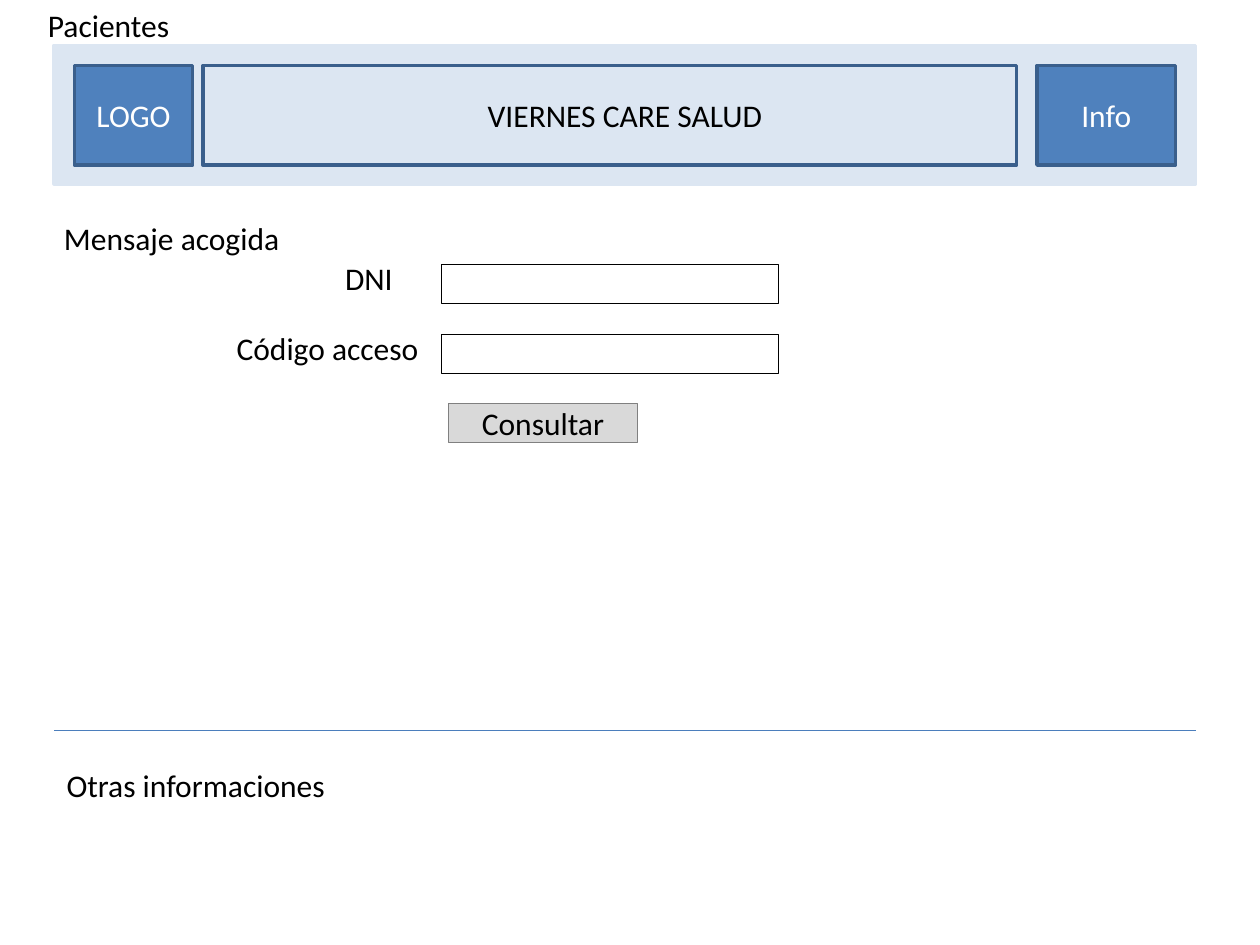
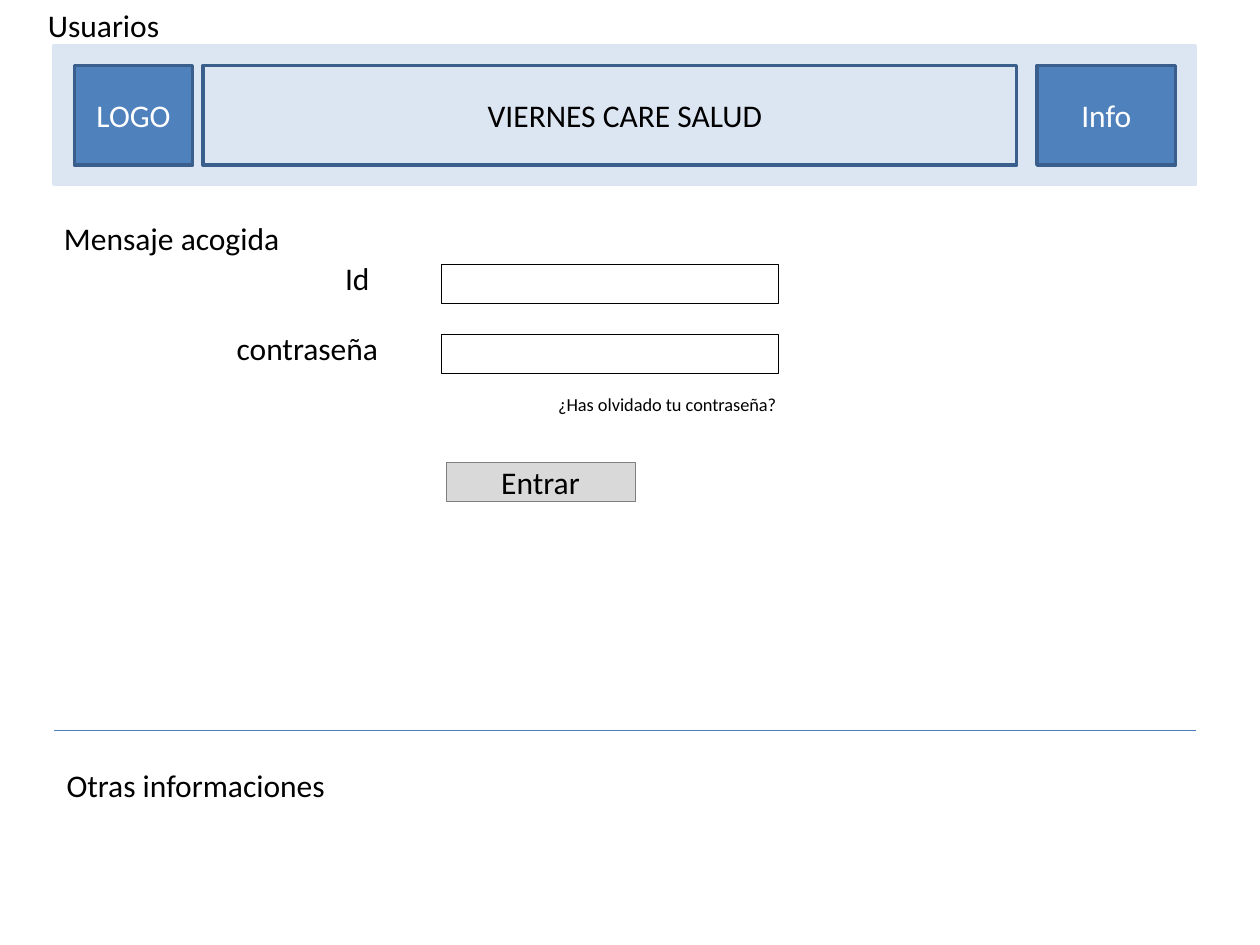
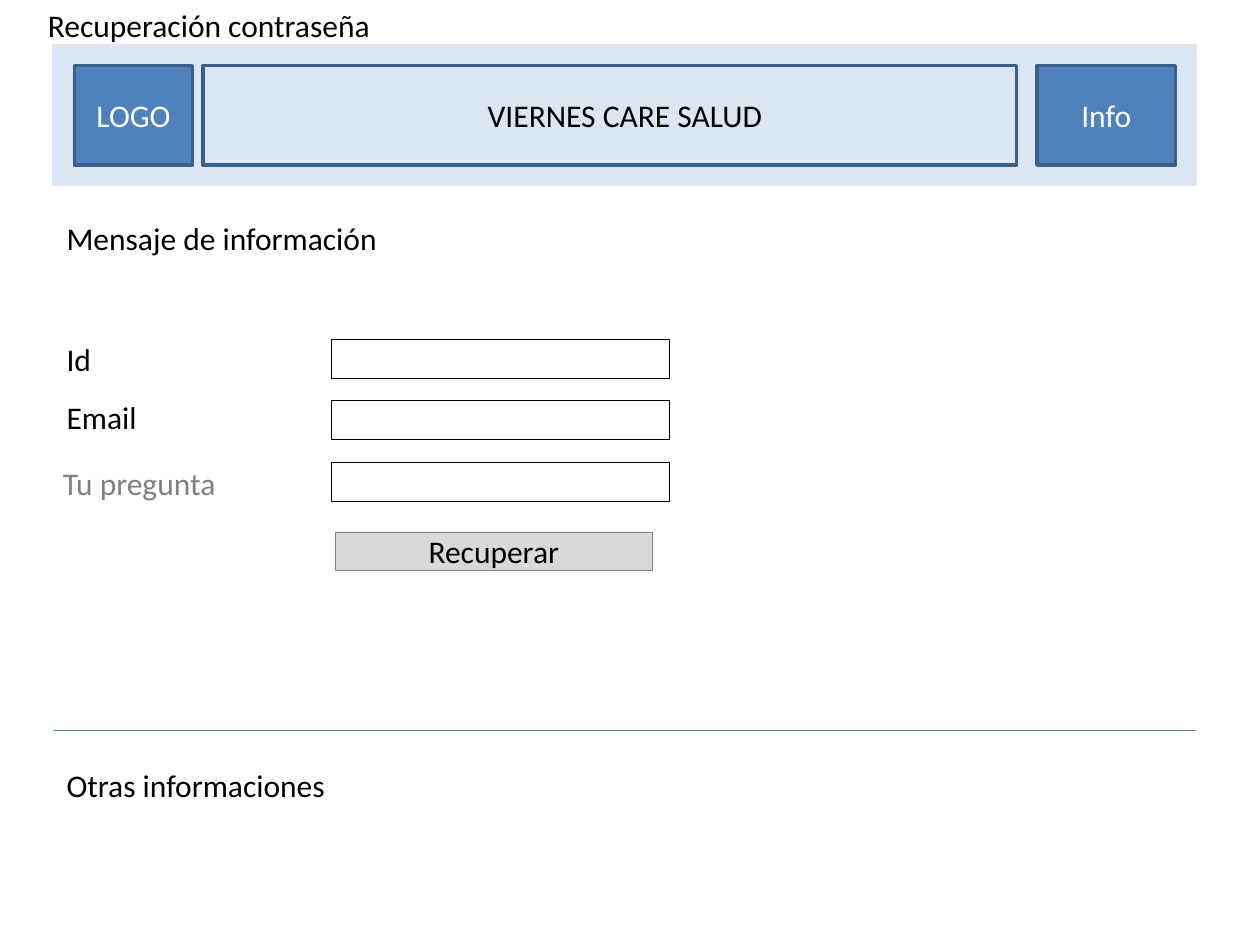
from dataclasses import dataclass

from lxml.etree import SubElement
from pptx import Presentation
from pptx.dml.color import RGBColor
from pptx.enum.shapes import MSO_CONNECTOR, MSO_SHAPE
from pptx.enum.text import MSO_ANCHOR, MSO_AUTO_SIZE, PP_ALIGN
from pptx.oxml.ns import qn
from pptx.util import Inches, Pt


@dataclass(frozen=True)
class Theme:
    font: str = "Calibri"
    body_size: float = 18
    small_size: float = 10.5
    text: str = "000000"
    muted: str = "808080"
    white: str = "FFFFFF"
    band: str = "DCE6F2"
    accent: str = "4F81BD"
    accent_border: str = "3A5F8C"
    rule: str = "4B7EBC"
    button: str = "D9D9D9"
    thick: float = 2
    medium: float = 0.75
    thin: float = 0.25


class FormDeck:
    left = 0.43
    width = 9.06
    text_height = 0.4
    field_width = 2.68
    field_height = 0.31

    def __init__(self, theme):
        self.theme = theme
        self.presentation = Presentation()
        self.presentation.slide_width = Inches(10)
        self.presentation.slide_height = Inches(7.5)
        self.slide = None

    def format_text(self, text_frame, text, color, size=None, align=PP_ALIGN.LEFT):
        text_frame.text = text
        paragraph = text_frame.paragraphs[0]
        paragraph.alignment = align
        font = paragraph.runs[0].font
        font.name = self.theme.font
        font.size = Pt(size or self.theme.body_size)
        font.color.rgb = RGBColor.from_string(color)

    def title(self, text, width):
        shape = self.slide.shapes.title
        shape.left, shape.top = Inches(0.28), Inches(0)
        shape.width, shape.height = Inches(width), Inches(self.text_height)
        text_frame = shape.text_frame
        text_frame.vertical_anchor = MSO_ANCHOR.TOP
        text_frame.auto_size = MSO_AUTO_SIZE.SHAPE_TO_FIT_TEXT
        self.format_text(text_frame, text, self.theme.text)

    def box(self, left, top, width, height, border, weight,
            fill=None, text=None, color=None):
        shape = self.slide.shapes.add_shape(
            MSO_SHAPE.RECTANGLE,
            Inches(left), Inches(top), Inches(width), Inches(height))
        shape.shadow.inherit = False
        if fill:
            shape.fill.solid()
            shape.fill.fore_color.rgb = RGBColor.from_string(fill)
        else:
            shape.fill.background()
        shape.line.color.rgb = RGBColor.from_string(border)
        shape.line.width = Pt(weight)
        if text:
            shape.text_frame.vertical_anchor = MSO_ANCHOR.MIDDLE
            self.format_text(shape.text_frame, text, color or self.theme.text,
                             align=PP_ALIGN.CENTER)

    def text(self, text, left, top, width, height=text_height, wrap=True,
             color=None, size=None, align=PP_ALIGN.LEFT):
        shape = self.slide.shapes.add_textbox(
            Inches(left), Inches(top), Inches(width), Inches(height))
        shape.text_frame.word_wrap = wrap
        shape.text_frame.auto_size = MSO_AUTO_SIZE.SHAPE_TO_FIT_TEXT
        self.format_text(shape.text_frame, text, color or self.theme.text,
                         size, align)

    def rule(self, top):
        connector = self.slide.shapes.add_connector(
            MSO_CONNECTOR.STRAIGHT, Inches(self.left), Inches(top),
            Inches(self.left + self.width), Inches(top))
        connector.line.color.rgb = RGBColor.from_string(self.theme.rule)
        connector.line.width = Pt(self.theme.medium)
        SubElement(connector._element.spPr, qn("a:effectLst"))

    def header(self):
        theme = self.theme
        top, height = 0.52, 0.79
        self.box(self.left, 0.36, self.width, 1.1, theme.band, theme.thick,
                 theme.band, "VIERNES CARE SALUD")
        self.box(0.59, top, 0.94, height, theme.accent_border, theme.thick,
                 theme.accent, "LOGO", theme.white)
        self.box(1.61, top, 6.46, height, theme.accent_border, theme.thick)
        self.box(8.23, top, 1.1, height, theme.accent_border, theme.thick,
                 theme.accent, "Info", theme.white)

    def footer(self):
        self.rule(5.8)
        self.text("Otras informaciones", self.left, 6.03, self.width)

    def page(self, title, title_width, message, message_left):
        layout = self.presentation.slide_layouts.get_by_name("Title Only")
        self.slide = self.presentation.slides.add_slide(layout)
        self.title(title, title_width)
        self.header()
        self.text(message, message_left, 1.69, self.width)
        self.footer()

    def fields(self, left, top, step, labels):
        for row, (label, label_left, label_top, label_width, color) in enumerate(labels):
            self.box(left, top + row * step, self.field_width, self.field_height,
                     self.theme.text, self.theme.thin)
            self.text(label, label_left, label_top, label_width,
                      wrap=False, color=color)

    def button(self, text, left, top, width=1.5):
        self.box(left, top, width, self.field_height, self.theme.muted,
                 self.theme.thin, self.theme.button, text)


theme = Theme()
deck = FormDeck(theme)

deck.page("Pacientes", 1.65, "Mensaje acogida", 0.41)
deck.fields(3.5, 2.1, 0.55, [
    ("DNI", 2.64, 2.01, 0.58, theme.text),
    ("Código acceso", 1.78, 2.56, 1.66, theme.text),
])
deck.button("Consultar", 3.56, 3.2)

deck.page("Usuarios", 1.65, "Mensaje acogida", 0.41)
deck.fields(3.5, 2.1, 0.55, [
    ("Id", 2.64, 2.01, 0.4, theme.text),
    ("contraseña", 1.78, 2.56, 1.34, theme.text),
])
deck.button("Entrar", 3.54, 3.67)
deck.text("¿Has olvidado tu contraseña?", 3.27, 3.07, 2.99, 0.29,
          size=theme.small_size, align=PP_ALIGN.RIGHT)

deck.page("Recuperación contraseña", 3.46, "Mensaje de información", deck.left)
deck.fields(2.63, 2.69, 0.49, [
    ("Id", deck.left, 2.65, 0.4, theme.text),
    ("Email", deck.left, 3.11, 0.76, theme.text),
    ("Tu pregunta", 0.4, 3.63, 1.43, theme.muted),
])
deck.button("Recuperar", 2.66, 4.22, 2.52)

deck.presentation.save("out.pptx")
